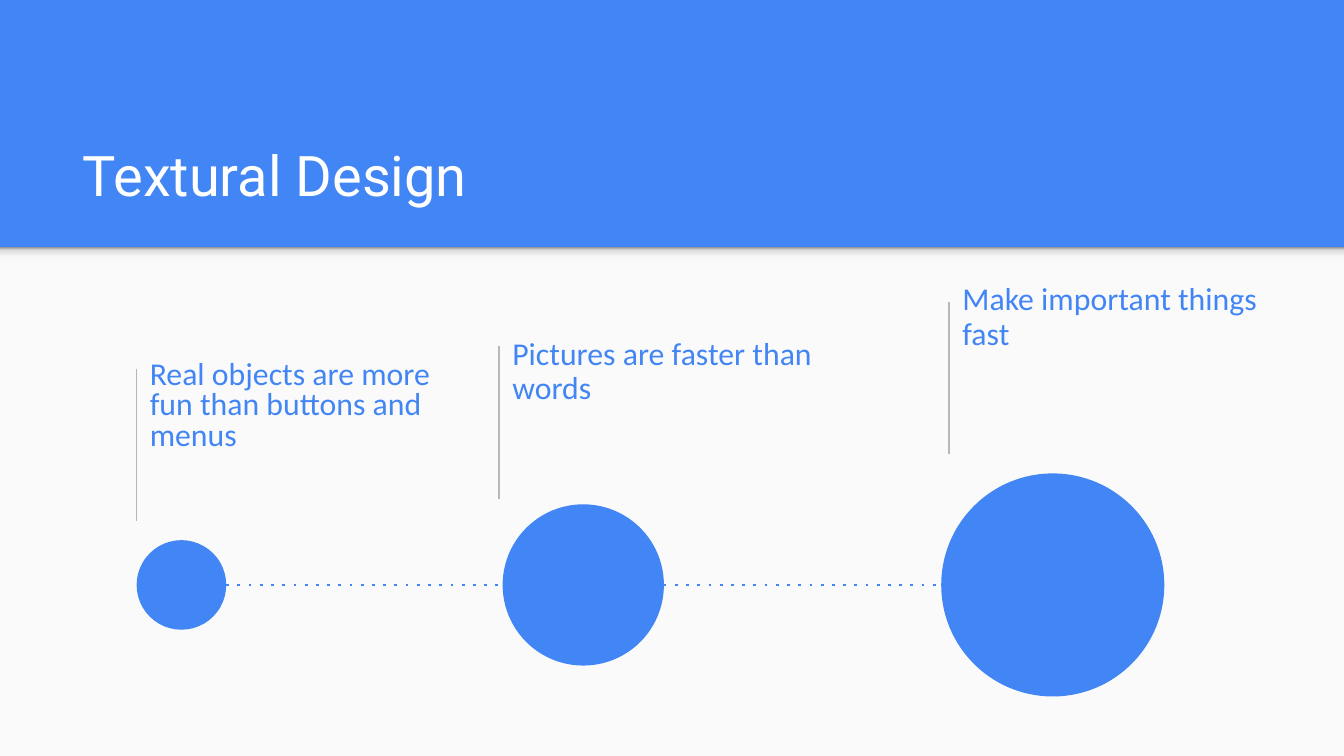
from lxml.etree import SubElement
from pptx import Presentation
from pptx.dml.color import RGBColor
from pptx.enum.shapes import MSO_CONNECTOR, MSO_SHAPE
from pptx.enum.text import MSO_ANCHOR as ANCHOR
from pptx.oxml.ns import qn
from pptx.util import Pt

BLUE = RGBColor(0x42, 0x85, 0xF4)
WHITE = RGBColor(0xFF, 0xFF, 0xFF)
PAPER = RGBColor(0xFA, 0xFA, 0xFA)
RULE = RGBColor(0xB7, 0xB7, 0xB7)
SHADOW_STOPS = [
    (0, RGBColor(0xF9, 0xF9, 0xF9)),
    (36, RGBColor(0xF9, 0xF9, 0xF9)),
    (80, RGBColor(0xDE, 0xDE, 0xDE)),
    (100, RGBColor(0x99, 0x99, 0x99)),
]

WIDTH, HEIGHT = 720, 405
HEADER_BOTTOM = 132.5
AXIS_Y = 313.4
INSET = 7.2
RULE_LENGTH = 81.5

CIRCLES = [(97.2, 48), (312.5, 86.4), (564, 119.5)]
CAPTIONS = [
    ("Real objects are more fun than buttons and menus",
     73.2, 197.5, (202.3, 177, 31), dict(spacing=0.8, before=10)),
    ("Pictures are faster than words",
     267.4, 185.6, (187.2, 196, 45.4), dict(spacing=0.9, bottom=28)),
    ("Make important things fast",
     508.5, 161.8, (154.8, 176, 31), dict(spacing=0.9, before=10)),
]


def add_shape(s, kind, x, y, w, h, color=None):
    sp = s.shapes.add_shape(kind, Pt(x), Pt(y), Pt(w), Pt(h))
    sp.shadow.inherit = False
    sp.line.fill.background()
    if color is not None:
        sp.fill.solid()
        sp.fill.fore_color.rgb = color
    return sp


def add_gradient(sp, stops, angle):
    sp.fill.gradient()
    sp.fill.gradient_angle = angle
    stop_list = next(sp._element.iter(qn("a:gsLst")))
    for old in list(stop_list):
        stop_list.remove(old)
    for percent, color in stops:
        stop = SubElement(stop_list, qn("a:gs"), pos=str(percent * 1000))
        SubElement(stop, qn("a:srgbClr"), val=str(color))


def add_line(s, x1, y1, x2, y2, color, width, dash=None):
    line = s.shapes.add_connector(
        MSO_CONNECTOR.STRAIGHT, Pt(x1), Pt(y1), Pt(x2), Pt(y2))
    line.line.color.rgb = color
    line.line.width = Pt(width)
    properties = line._element.spPr
    if dash is not None:
        SubElement(properties.find(qn("a:ln")), qn("a:prstDash"), val=dash)
    SubElement(properties, qn("a:effectLst"))


def add_text(s, text, x, y, w, h, *, size, font, color, anchor=ANCHOR.MIDDLE,
             spacing=1.0, before=0, bottom=INSET):
    tf = s.shapes.add_textbox(Pt(x), Pt(y), Pt(w), Pt(h)).text_frame
    tf.word_wrap = True
    tf.vertical_anchor = anchor
    tf.margin_left = tf.margin_right = tf.margin_top = Pt(INSET)
    tf.margin_bottom = Pt(bottom)
    p = tf.paragraphs[0]
    p.line_spacing = spacing
    p.space_before = Pt(before)
    r = p.add_run()
    r.text = text
    r.font.size = Pt(size)
    r.font.name = font
    r.font.color.rgb = color


def add_header(s):
    s.background.fill.solid()
    s.background.fill.fore_color.rgb = BLUE
    add_shape(s, MSO_SHAPE.RECTANGLE, 0, HEADER_BOTTOM,
              WIDTH, HEIGHT - HEADER_BOTTOM, PAPER)
    shadow = add_shape(s, MSO_SHAPE.RECTANGLE, 0, HEADER_BOTTOM, WIDTH, 8.6)
    add_gradient(shadow, SHADOW_STOPS, 90)
    add_text(s, "Textural Design", 37.2, 58, 647.3, 60.5,
             size=30, font="Roboto", color=WHITE, anchor=ANCHOR.BOTTOM)


def add_caption(s, text, x, rule_top, box, style):
    top, width, height = box
    add_line(s, x, rule_top, x, rule_top + RULE_LENGTH, RULE, 0.75)
    add_text(s, text, x, top, width, height,
             size=17, font="Calibri", color=BLUE, **style)


def add_timeline(s):
    (first, first_size), *_, (last, last_size) = CIRCLES
    add_line(s, first + first_size / 2, AXIS_Y, last - last_size / 2, AXIS_Y,
             BLUE, 1.5, "dot")
    for center, size in CIRCLES:
        add_shape(s, MSO_SHAPE.OVAL, center - size / 2, AXIS_Y - size / 2,
                  size, size, BLUE)


def main():
    prs = Presentation()
    prs.slide_width, prs.slide_height = Pt(WIDTH), Pt(HEIGHT)
    s = prs.slides.add_slide(prs.slide_layouts[6])
    add_header(s)
    for caption in CAPTIONS:
        add_caption(s, *caption)
    add_timeline(s)
    prs.save("out.pptx")


if __name__ == "__main__":
    main()
